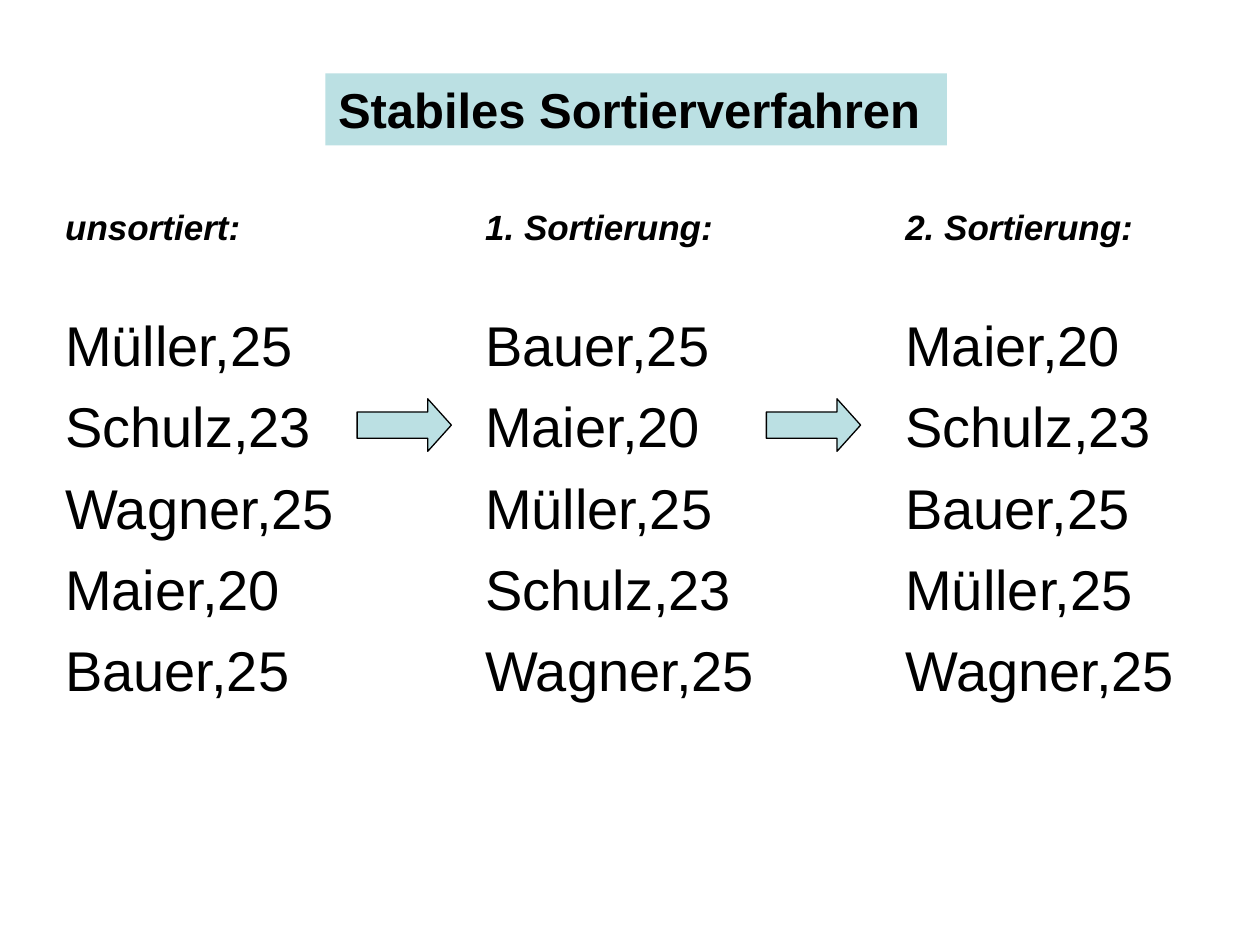
from pptx import Presentation
from pptx.dml.color import RGBColor
from pptx.enum.shapes import MSO_SHAPE
from pptx.enum.text import MSO_ANCHOR, MSO_AUTO_SIZE, PP_ALIGN
from pptx.util import Cm, Pt

RIGHT_ARROW = MSO_SHAPE.RIGHT_ARROW
LEFT, TOP = PP_ALIGN.LEFT, MSO_ANCHOR.TOP
NO_AUTOFIT = MSO_AUTO_SIZE.NONE
FONT = "Arial"
COLORS = {"text": "000000", "accent": "BBE0E3"}


def place(shape, left, top, width, height):
    """Position a text shape and give its frame the common settings."""
    shape.left, shape.top = Cm(left), Cm(top)
    shape.width, shape.height = Cm(width), Cm(height)
    frame = shape.text_frame
    frame.word_wrap = True
    frame.auto_size = NO_AUTOFIT
    frame.vertical_anchor = TOP
    return frame


def write(paragraph, text, size, before=0, bold=False, italic=False):
    paragraph.alignment = LEFT
    paragraph.space_before = Pt(before)
    run = paragraph.add_run()
    run.text = text
    run.font.name = FONT
    run.font.size = Pt(size)
    run.font.bold = bold
    run.font.italic = italic
    run.font.color.rgb = RGBColor.from_string(COLORS["text"])


prs = Presentation()
prs.slide_width, prs.slide_height = Cm(25.4), Cm(19.05)
slide = prs.slides.add_slide(prs.slide_layouts[0])
title, unsorted_list = slide.placeholders

# Title
title.fill.solid()
title.fill.fore_color.rgb = RGBColor.from_string(COLORS["accent"])
title_frame = place(title, 6.56, 1.48, 12.53, 1.45)
write(title_frame.paragraphs[0], "Stabiles Sortierverfahren", 28, bold=True)

# Three stages of sorting, evenly spaced: heading, width, height, entries
stages = [
    ("unsortiert:", 6.35, 13.76,
     ["Müller,25", "Schulz,23", "Wagner,25", "Maier,20", "Bauer,25"]),
    ("1. Sortierung:", 7.62, 11.43,
     ["Bauer,25", "Maier,20", "Müller,25", "Schulz,23", "Wagner,25"]),
    ("2. Sortierung:", 6.14, 11.43,
     ["Maier,20", "Schulz,23", "Bauer,25", "Müller,25", "Wagner,25"]),
]
for column, (heading, width, height, entries) in enumerate(stages):
    if column == 0:
        stage = unsorted_list
    else:
        stage = slide.shapes.add_textbox(0, 0, 0, 0)
    frame = place(stage, 1.06 + 8.47 * column, 4.02, width, height)
    write(frame.paragraphs[0], heading, 20, before=5, bold=True, italic=True)
    for row, entry in enumerate(entries):
        # The first entry stands apart from the heading
        write(frame.add_paragraph(), entry, 32, before=36 if row == 0 else 8)

# Arrows from stage to stage
for left in (7.2, 15.45):
    arrow = slide.shapes.add_shape(RIGHT_ARROW, Cm(left), Cm(8.04), Cm(1.9), Cm(1.06))
    arrow.adjustments[0] = 0.5
    arrow.adjustments[1] = 0.45
    arrow.shadow.inherit = False
    arrow.fill.solid()
    arrow.fill.fore_color.rgb = RGBColor.from_string(COLORS["accent"])
    arrow.line.color.rgb = RGBColor.from_string(COLORS["text"])
    arrow.line.width = Pt(0.75)

prs.save("out.pptx")
